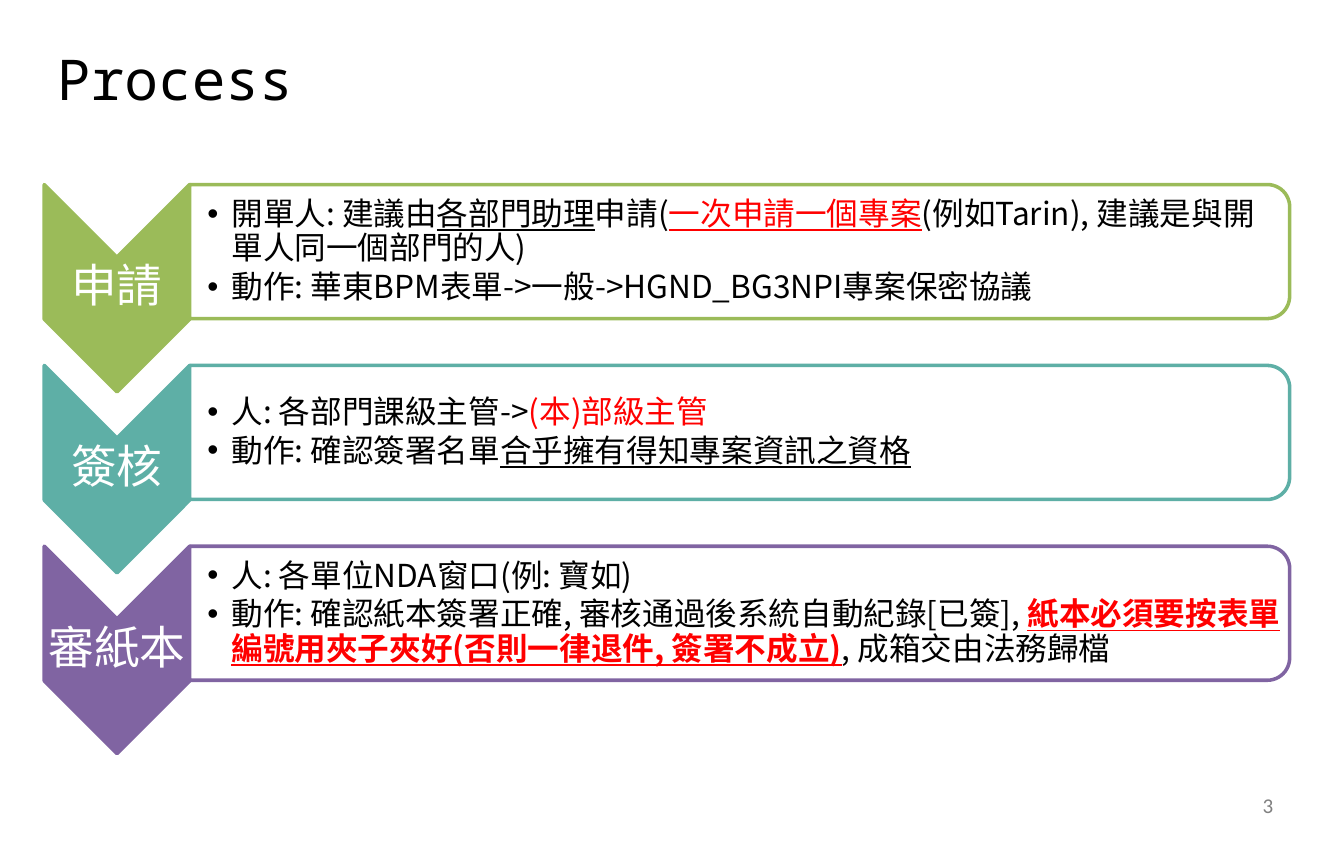
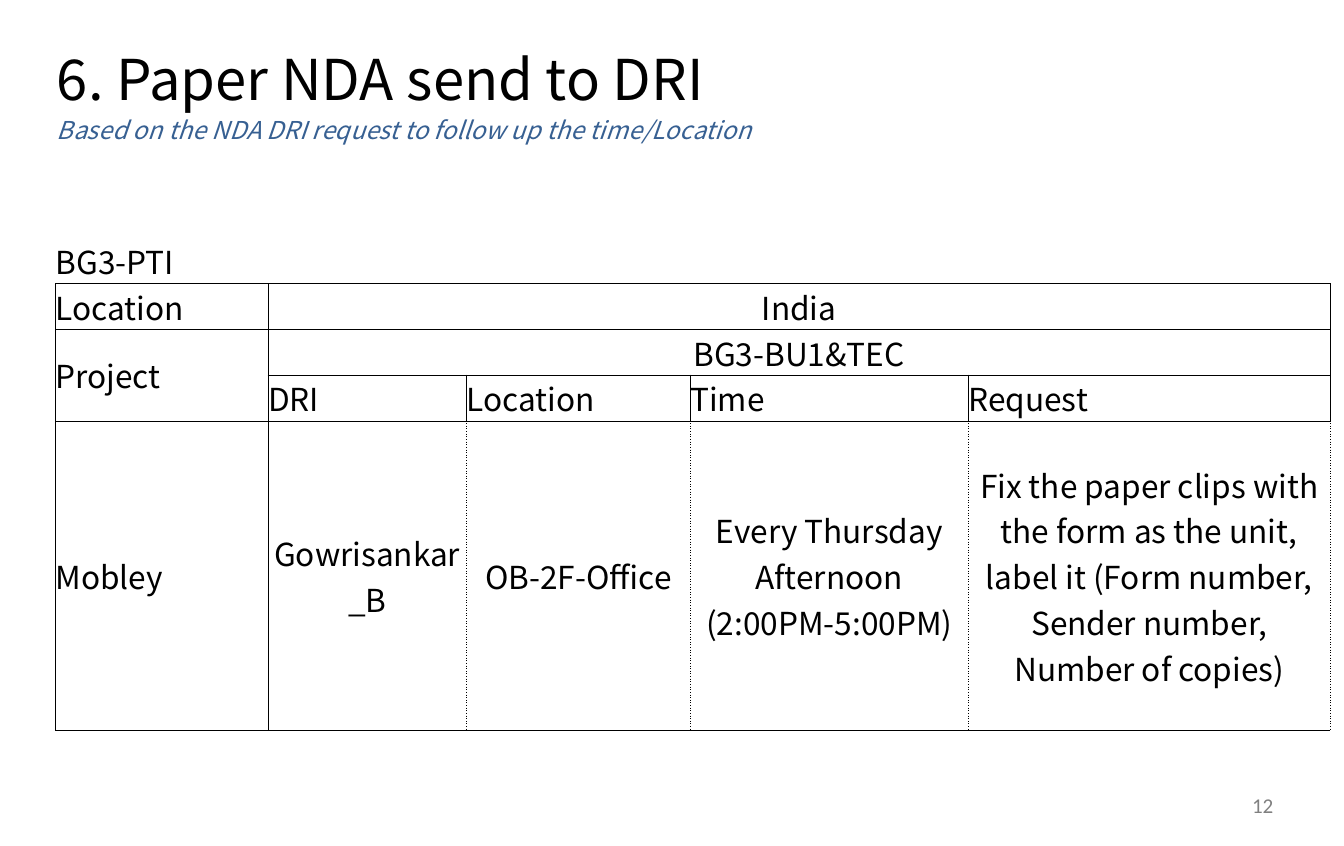
from lxml.etree import SubElement
from pptx import Presentation
from pptx.dml.color import RGBColor
from pptx.enum.shapes import MSO_SHAPE as SHAPE
from pptx.enum.text import MSO_ANCHOR as ANCHOR, MSO_AUTO_SIZE as AUTO, PP_ALIGN as ALIGN
from pptx.oxml.ns import qn
from pptx.util import Emu, Pt

PX = 9144  # 100 px to the inch
WIDTH, HEIGHT = 1063, 669
COLORS = {"ink": "000000", "paper": "FFFFFF", "alert": "FF0000", "subtitle": "376092",
          "number": "808080", "green": "9BBB59", "teal": "5EAFA6", "purple": "8064A2"}
SANS, SANS_TABLE, MONO, NUMBER_FONT = (
    "Noto Sans CJK TC", "Noto Sans CJK SC", "Noto Sans Mono", "Calibri")

# A run is (text, marks): r = red, u = underlined, b = bold
STEPS = [
    ("申請", "green", [
        [("開單人: 建議由", ""), ("各部門助理", "u"), ("申請(", ""), ("一次申請一個專案", "ru"),
         ("(例如Tarin), 建議是與開單人同一個部門的人)", "")],
        [("動作: 華東BPM表單->一般->HGND_BG3NPI專案保密協議", "")],
    ]),
    ("簽核", "teal", [
        [("人: 各部門課級主管->", ""), ("(本)部級主管", "r")],
        [("動作: 確認簽署名單", ""), ("合乎擁有得知專案資訊之資格", "u")],
    ]),
    ("審紙本", "purple", [
        [("人: 各單位NDA窗口(例: 寶如)", "")],
        [("動作: 確認紙本簽署正確, 審核通過後系統自動紀錄[已簽], ", ""),
         ("紙本必須要按表單編號用夾子夾好(否則一律退件, 簽署不成立)", "rub"),
         (", 成箱交由法務歸檔", "")],
    ]),
]
STEP_TOP, STEP_PITCH = 146, 143

COLUMNS = [168, 157, 177, 220, 286]
ROWS = [31, 33, 34, 33, 245]
CELLS = [
    ["BG3-PTI"],
    ["Location", "India"],
    ["Project", "BG3-BU1&TEC"],
    [None, "DRI", "Location", "Time", "Request"],
    ["Mobley", "Gowrisankar_B", "OB-2F-Office", "Every Thursday Afternoon\n(2:00PM-5:00PM)",
     "Fix the paper clips with the form as the unit, label it "
     "(Form number, Sender number, Number of copies)"],
]
MERGES = [((0, 0), (0, 4)), ((1, 1), (1, 4)), ((2, 1), (2, 4)), ((2, 0), (3, 0))]
CENTERED_ROWS = (1, 2, 4)


def px(*lengths):
    return [Emu(round(n * PX)) for n in lengths]


def rgb(name):
    return RGBColor.from_string(COLORS[name])


def place(sp, *box):
    sp.left, sp.top, sp.width, sp.height = px(*box)


def setup_frame(tf, insets, anchor):
    tf.word_wrap, tf.auto_size, tf.vertical_anchor = True, AUTO.NONE, anchor
    tf.margin_left, tf.margin_top, tf.margin_right, tf.margin_bottom = px(*insets)


def add_run(p, text, size, font=SANS, color="ink", bold=False, italic=False, underline=False):
    r = p.add_run()
    r.text = text
    f = r.font
    f.size, f.name, f.bold, f.italic, f.underline = Pt(size), font, bold, italic, underline
    f.color.rgb = rgb(color)
    SubElement(r._r.get_or_add_rPr(), qn("a:ea"), typeface=font)


def set_bullet(p, indent=0):
    """Hang a bullet by indent px, or take the bullet away when it is 0."""
    pPr = p._p.get_or_add_pPr()
    pPr.set("marL", str(indent * PX))
    pPr.set("indent", str(-indent * PX))
    if indent:
        SubElement(pPr, qn("a:buFont"), typeface="Arial")
        SubElement(pPr, qn("a:buChar"), char="•")
    else:
        SubElement(pPr, qn("a:buNone"))


def add_heading(sp, box, text, size, **style):
    place(sp, *box)
    setup_frame(sp.text_frame, (10, 0, 10, 0), ANCHOR.TOP)
    p = sp.text_frame.paragraphs[0]
    p.alignment, p.space_before = ALIGN.LEFT, Pt(0)
    set_bullet(p)
    add_run(p, text, size, **style)


def add_label(s, box, text, size, align, insets, **style):
    tf = s.shapes.add_textbox(*px(*box)).text_frame
    setup_frame(tf, insets, ANCHOR.MIDDLE)
    p = tf.paragraphs[0]
    p.alignment = align
    add_run(p, text, size, **style)
    return p


def new_slide(prs, layout, title, number, font):
    s = prs.slides.add_slide(prs.slide_layouts[layout])
    add_heading(s.shapes.title, (35, 35, 748, 55), title, 32, font=font)
    add_label(s, (769, 619, 248, 36), number, 12, ALIGN.RIGHT, (10, 5, 10, 5),
              font=NUMBER_FONT, color="number")
    return s


def add_turned_shape(s, kind, box, fill, line):
    """Add a shape turned by 90 degrees that covers box once turned."""
    left, top, width, height = box
    shift = (width - height) / 2
    sp = s.shapes.add_shape(kind, *px(left + shift, top - shift, height, width))
    sp.rotation = 90
    sp.shadow.inherit = False
    sp.fill.solid()
    sp.fill.fore_color.rgb = rgb(fill)
    sp.line.color.rgb = rgb(line)
    sp.line.width = Pt(2)


def add_step(s, body, top, name, color, bullets):
    add_turned_shape(s, SHAPE.CHEVRON, (35, top, 115, 164), color, color)
    label = add_label(s, (35, top + 57, 115, 49), name, 26, ALIGN.CENTER, (2, 2, 2, 2),
                      color="paper")
    label.line_spacing = 0.9
    add_turned_shape(s, SHAPE.ROUND_2_SAME_RECTANGLE, (150, top, 870, 106), "paper", color)

    place(body, 150, top + 5, 865, 96)
    body._element.getparent().append(body._element)  # in front of its panel
    tf = body.text_frame
    setup_frame(tf, (14, 1, 1, 1), ANCHOR.MIDDLE)
    for i, runs in enumerate(bullets):
        p = tf.add_paragraph() if i else tf.paragraphs[0]
        p.line_spacing, p.space_before, p.space_after = 0.9, Pt(0), Pt(2.7)
        set_bullet(p, 19)
        for text, marks in runs:
            add_run(p, text, 18, color="alert" if "r" in marks else "ink",
                    bold="b" in marks, underline="u" in marks)


def set_borders(cell, styles):
    """Draw the left, right, top and bottom borders; a style of None hides one."""
    tcPr = cell._tc.get_or_add_tcPr()
    for i, (side, dash) in enumerate(zip("LRTB", styles)):
        ln = SubElement(tcPr, qn(f"a:ln{side}"), w=str(Pt(0.5)))
        tcPr.insert(i, ln)
        if dash:
            fill = SubElement(ln, qn("a:solidFill"))
            SubElement(fill, qn("a:srgbClr"), val=COLORS["ink"])
            SubElement(ln, qn("a:prstDash"), val=dash)
        else:
            SubElement(ln, qn("a:noFill"))


def border_styles(row, col):
    if row == 0:
        return None, None, None, "solid"
    last = row == len(ROWS) - 1
    left = "sysDot" if last and col > 1 else "solid"
    right = "sysDot" if last and col > 0 else "solid"
    return left, right, "solid", "solid"


def add_schedule(s):
    table = s.shapes.add_table(len(ROWS), len(COLUMNS),
                               *px(44, 188, sum(COLUMNS), sum(ROWS))).table
    table.first_row = table.horz_banding = False
    for column, width in zip(table.columns, px(*COLUMNS)):
        column.width = width
    for row, height in zip(table.rows, px(*ROWS)):
        row.height = height
    for start, end in MERGES:
        table.cell(*start).merge(table.cell(*end))
    for row in range(len(ROWS)):
        for col in range(len(COLUMNS)):
            cell = table.cell(row, col)
            cell.fill.background()
            set_borders(cell, border_styles(row, col))
            cell.vertical_anchor = ANCHOR.MIDDLE
            cell.margin_left = cell.margin_right = cell.margin_top = cell.margin_bottom = 0
            text = CELLS[row][col] if col < len(CELLS[row]) else None
            if not text:
                continue
            for i, line in enumerate(text.split("\n")):
                p = cell.text_frame.add_paragraph() if i else cell.text_frame.paragraphs[0]
                p.alignment = ALIGN.CENTER if col and row in CENTERED_ROWS else ALIGN.LEFT
                add_run(p, line, 18, SANS_TABLE)


def build_process(prs):
    s = new_slide(prs, 4, "Process", "3", MONO)
    _, *bodies = list(s.placeholders)
    for i, (body, step) in enumerate(zip(bodies, STEPS)):
        add_step(s, body, STEP_TOP + i * STEP_PITCH, *step)
    for spare in bodies[len(STEPS):]:
        spare._element.getparent().remove(spare._element)


def build_delivery(prs):
    s = new_slide(prs, 1, "6. Paper NDA send to DRI", "12", SANS)
    add_heading(s.placeholders[1], (35, 91, 1008, 55),
                "Based on the NDA DRI request to follow up the time/Location", 14,
                color="subtitle", italic=True)
    add_schedule(s)


def main():
    prs = Presentation()
    prs.slide_width, prs.slide_height = px(WIDTH, HEIGHT)
    build_process(prs)
    build_delivery(prs)
    prs.save("out.pptx")


if __name__ == "__main__":
    main()
